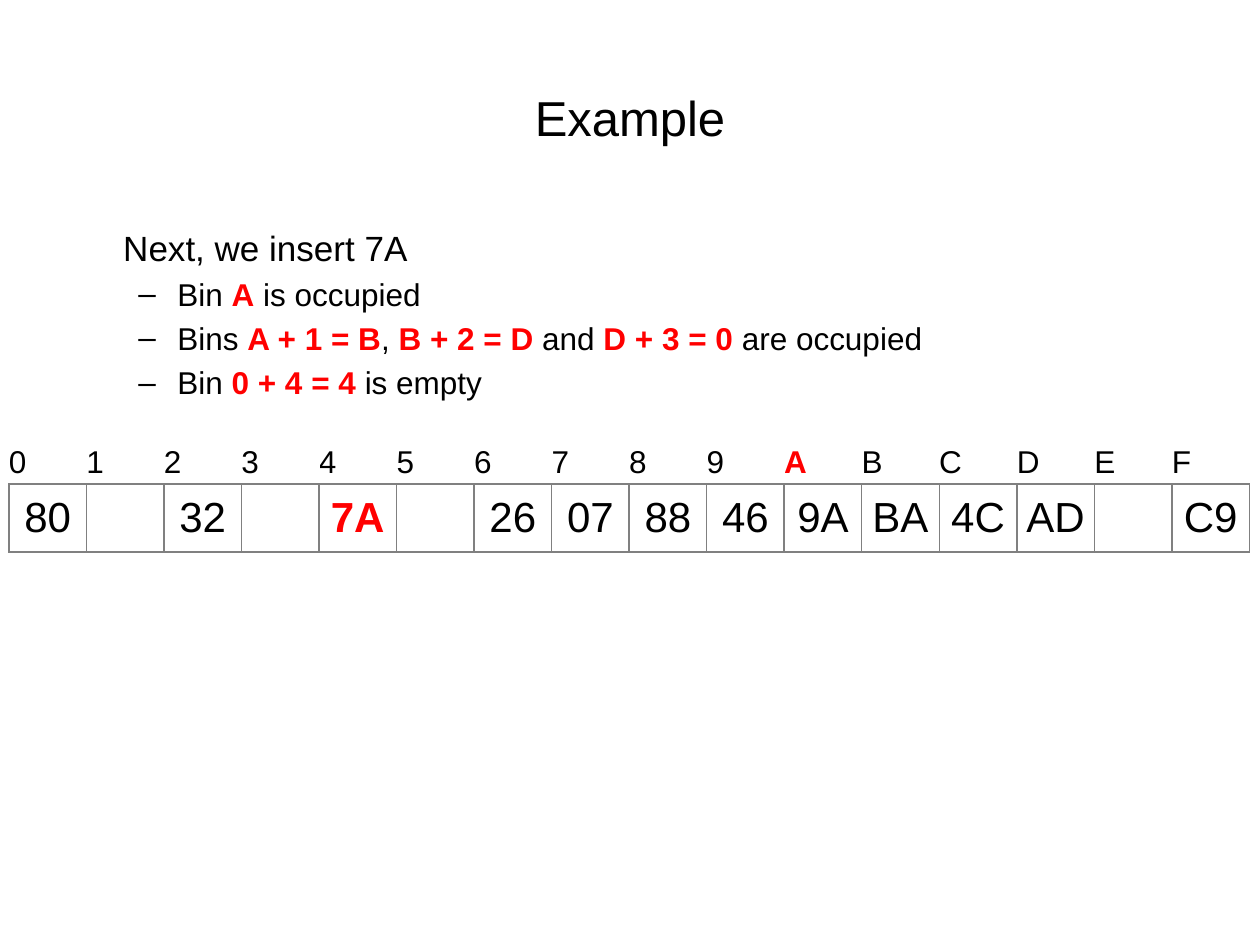
from lxml.etree import SubElement
from pptx import Presentation
from pptx.dml.color import RGBColor
from pptx.enum.text import MSO_ANCHOR as Anchor, PP_ALIGN as Align
from pptx.oxml import parse_xml
from pptx.oxml.ns import nsdecls, qn
from pptx.util import Inches, Pt

COLORS = {"text": "000000", "accent": "FF0000", "border": "808080"}
FONT = "Arial"

# Text between asterisks is highlighted
INSERTION_STEPS = [
    "Bin *A* is occupied",
    "Bins *A + 1 = B*, *B + 2 = D* and *D + 3 = 0* are occupied",
    "Bin *0 + 4 = 4* is empty",
]
BIN_LABELS = [*"0123456789", "*A*", *"BCDEF"]
BIN_VALUES = ["80", "", "32", "", "*7A*", "", "26", "07",
              "88", "46", "9A", "BA", "4C", "AD", "", "C9"]


def write_text(paragraph, text, size=18, align=Align.LEFT):
    """Fill a paragraph, making the parts between asterisks bold and red."""
    paragraph.alignment = align
    for index, part in enumerate(text.split("*")):
        if not part:
            continue
        highlighted = index % 2 == 1
        run = paragraph.add_run()
        run.text = part
        run.font.name = FONT
        run.font.size = Pt(size)
        run.font.bold = highlighted
        color = COLORS["accent" if highlighted else "text"]
        run.font.color.rgb = RGBColor.from_string(color)


def format_list_item(paragraph, margin, hanging=0, bullet=None):
    """Set the indents, the space before and an optional bullet."""
    properties = paragraph._p.get_or_add_pPr()
    properties.set("marL", str(Inches(margin)))
    properties.set("indent", str(-Inches(hanging)))
    space_before = SubElement(properties, qn("a:spcBef"))
    SubElement(space_before, qn("a:spcPct"), val="20000")
    if bullet:
        SubElement(properties, qn("a:buFont"), typeface=FONT)
        SubElement(properties, qn("a:buChar"), char=bullet)


def add_text_frame(slide, left, top, width, height, anchor=Anchor.TOP):
    box = slide.shapes.add_textbox(
        Inches(left), Inches(top), Inches(width), Inches(height))
    frame = box.text_frame
    frame.word_wrap = True
    frame.vertical_anchor = anchor
    return frame


def set_borders(cell, sides):
    """Draw thin lines on the given sides, named L, R, T and B in that order."""
    properties = cell._tc.get_or_add_tcPr()
    for position, side in enumerate(sides):
        line = parse_xml(
            f'<a:ln{side} {nsdecls("a")} w="{Pt(1)}"><a:solidFill>'
            f'<a:srgbClr val="{COLORS["border"]}"/></a:solidFill></a:ln{side}>')
        properties.insert(position, line)


def fill_cell(cell, text, sides, **text_format):
    cell.fill.background()
    cell.vertical_anchor = Anchor.MIDDLE
    cell.margin_left = cell.margin_right = 0
    cell.margin_top = cell.margin_bottom = 0
    write_text(cell.text_frame.paragraphs[0], text, **text_format)
    set_borders(cell, sides)


def add_hash_table(slide):
    width = Inches(9.85)
    table = slide.shapes.add_table(
        2, len(BIN_LABELS), Inches(0.07), Inches(3.51), width, Inches(0.87)).table
    table.first_row = table.horz_banding = False
    for column in table.columns:
        column.width = width // len(BIN_LABELS)
    table.rows[0].height = Inches(0.33)
    table.rows[1].height = Inches(0.54)
    for index, (label, value) in enumerate(zip(BIN_LABELS, BIN_VALUES)):
        fill_cell(table.cell(0, index), label, sides="B")
        fill_cell(table.cell(1, index), value, sides="LRTB",
                  size=24, align=Align.CENTER)


def main():
    presentation = Presentation()
    presentation.slide_width = Inches(10)
    presentation.slide_height = Inches(7.5)
    slide = presentation.slides.add_slide(presentation.slide_layouts[6])

    # Explanation of the probing steps
    explanation = add_text_frame(slide, 0.5, 1.75, 9, 4.95)
    lead = explanation.paragraphs[0]
    write_text(lead, "Next, we insert 7A", size=20)
    format_list_item(lead, margin=0.38)
    for step in INSERTION_STEPS:
        item = explanation.add_paragraph()
        item.level = 1
        write_text(item, step)
        format_list_item(item, margin=0.81, hanging=0.31, bullet="–")

    # Title
    title = add_text_frame(slide, 0.5, 0.3, 9, 1.25, anchor=Anchor.MIDDLE)
    write_text(title.paragraphs[0], "Example", size=28, align=Align.CENTER)

    # Bins and their contents
    add_hash_table(slide)

    presentation.save("out.pptx")


if __name__ == "__main__":
    main()
